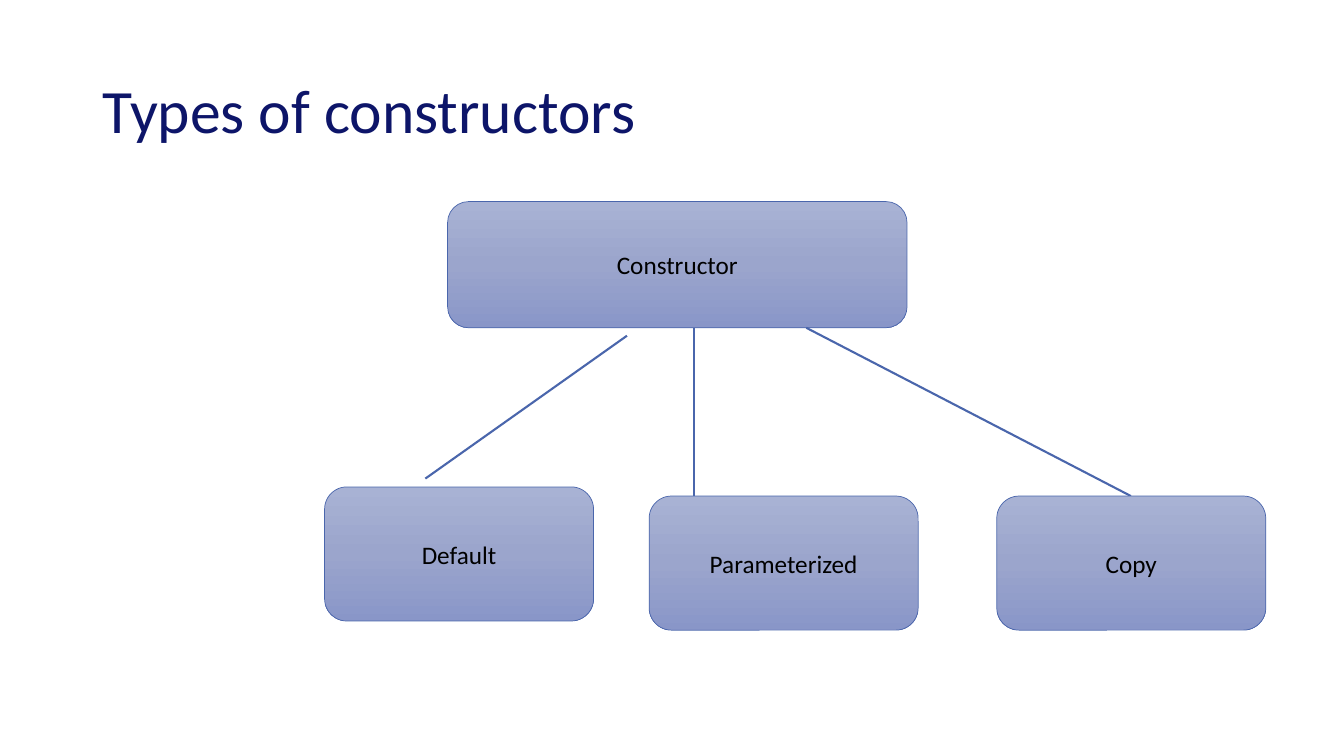
from copy import deepcopy
from dataclasses import dataclass

from lxml import etree
from pptx import Presentation
from pptx import util as u
from pptx.dml import color
from pptx.enum import shapes, text
from pptx.oxml import ns


@dataclass(frozen=True)
class Theme:
    """Colours, font and sizes of the slide."""
    font: str = "Calibri"
    title_color: str = "0D1569"
    label_color: str = "000000"
    line_color: str = "4A66AC"
    gradient: tuple = ((0, "A8B2D4"), (0.5, "9BA5CC"), (1, "8996C8"))
    title_size: int = 44
    label_size: int = 18
    border_width: float = 0.5
    link_width: float = 1.5


THEME = Theme()
TYPE_SIZE = (6.78, 3.38)
TYPES = (
    ("Default", (0, 7.19), (7.62, 3.38), (2.54, 6.98)),
    ("Parameterized", (8.18, 7.42), (9.32, 3.18), (9.32, 7.42)),
    ("Copy", (16.94, 7.42), (12.14, 3.18), (20.32, 7.42)),
)


def rgb(value):
    """Return a colour object for a hex string."""
    return color.RGBColor.from_string(value)


def apply_format(target, values):
    """Set each attribute in values on target."""
    for name, value in values.items():
        setattr(target, name, value)


def write_text(shape, wording, size, ink, alignment):
    """Write one vertically centred paragraph into a shape."""
    frame = shape.text_frame
    frame.text = wording
    paragraph = frame.paragraphs[0]
    apply_format(frame, {"word_wrap": True, "auto_size": text.MSO_AUTO_SIZE.NONE,
                         "vertical_anchor": text.MSO_ANCHOR.MIDDLE})
    apply_format(paragraph, {"alignment": alignment})
    apply_format(paragraph.runs[0].font, {"name": THEME.font, "size": u.Pt(size)})
    paragraph.runs[0].font.color.rgb = rgb(ink)
    return paragraph


def style_line(line, width):
    """Colour a line and set its width in points."""
    line.color.rgb = rgb(THEME.line_color)
    line.width = u.Pt(width)


def fill_gradient(shape):
    """Fill a shape with the theme gradient from top to bottom."""
    shape.fill.gradient()
    shape.fill.gradient_angle = 270
    stop_list = shape.element.spPr.find(".//" + ns.qn("a:gsLst"))
    stop_list.append(deepcopy(stop_list[-1]))
    for stop, (position, shade) in zip(shape.fill.gradient_stops, THEME.gradient):
        stop.position = position
        stop.color.rgb = rgb(shade)


def add_node(slide, wording, left, top, width, height):
    """Add a rounded, labelled box."""
    node = slide.shapes.add_shape(shapes.MSO_SHAPE.ROUNDED_RECTANGLE,
                                  *map(u.Cm, (left, top, width, height)))
    node.shadow.inherit = False
    fill_gradient(node)
    style_line(node.line, THEME.border_width)
    write_text(node, wording, THEME.label_size, THEME.label_color, text.PP_ALIGN.CENTER)


def add_link(slide, start, end):
    """Add a straight line between two points."""
    link = slide.shapes.add_connector(shapes.MSO_CONNECTOR.STRAIGHT,
                                      *map(u.Cm, (*start, *end)))
    style_line(link.line, THEME.link_width)
    etree.SubElement(link.element.spPr, ns.qn("a:effectLst"))


def place_title(slide, left, top, width, height):
    """Move and format the title placeholder."""
    title = slide.shapes.title
    apply_format(title, {"left": u.Cm(left), "top": u.Cm(top),
                         "width": u.Cm(width), "height": u.Cm(height)})
    paragraph = write_text(title, "Types of constructors", THEME.title_size,
                           THEME.title_color, text.PP_ALIGN.LEFT)
    paragraph.line_spacing = 0.9


def draw_tree(slide, left, top):
    """Draw the constructor and its types from the given corner."""
    def shift(point):
        return left + point[0], top + point[1]

    add_node(slide, "Constructor", *shift((3.1, 0)), 11.58, 3.18)
    for wording, corner, start, end in TYPES:
        add_link(slide, shift(start), shift(end))
        add_node(slide, wording, *shift(corner), *TYPE_SIZE)


def main():
    """Build and save the presentation."""
    presentation = Presentation()
    apply_format(presentation, {"slide_width": u.Cm(33.87), "slide_height": u.Cm(19.05)})
    slide = presentation.slides.add_slide(presentation.slide_layouts[5])
    place_title(slide, 2.34, 1.02, 29.21, 3.68)
    draw_tree(slide, 8.18, 5.08)
    presentation.save("out.pptx")


main()
